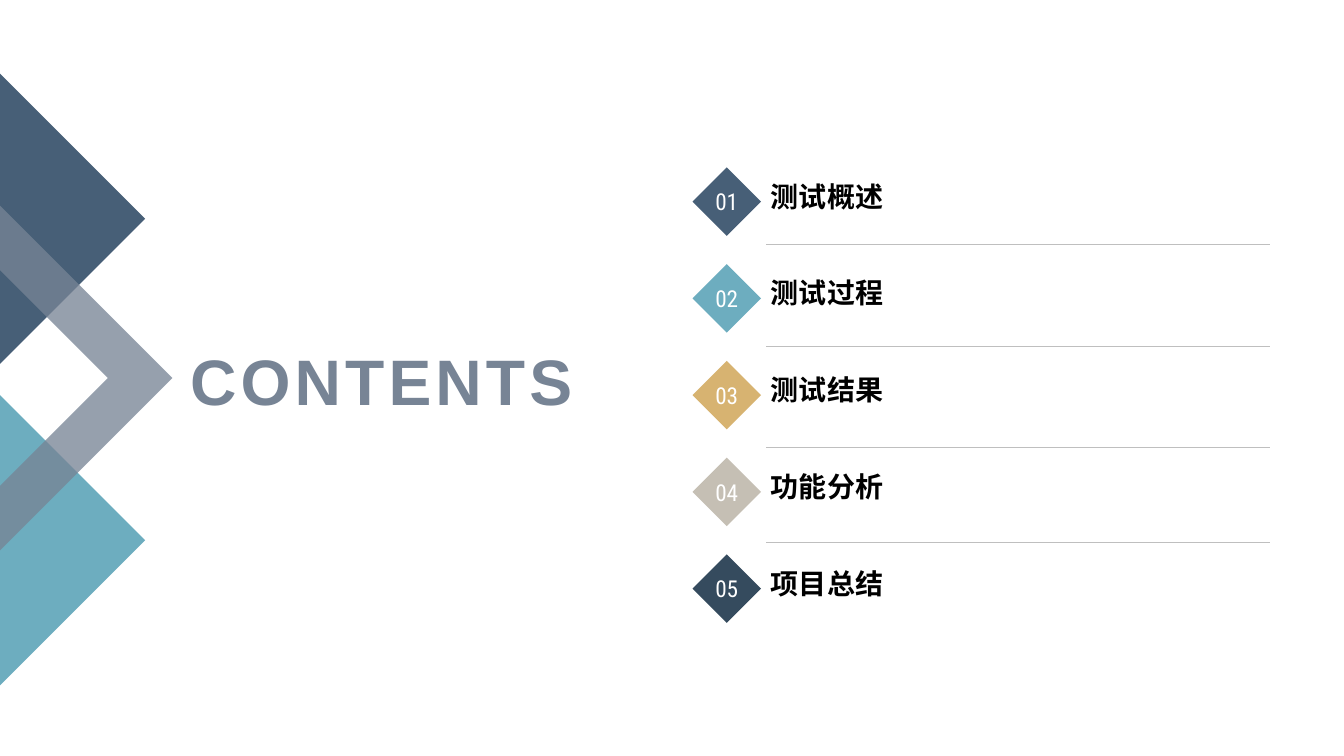
"""Build a contents slide with chevron artwork and five numbered entries."""
from dataclasses import dataclass
from typing import Any

from lxml import etree
from pptx import Presentation
from pptx import util as u
from pptx.dml.color import RGBColor
from pptx.enum import shapes, text
from pptx.oxml.ns import qn

CELL = u.Inches(0.1)
COLUMNS, ROWS = 133.33, 75


@dataclass(frozen=True)
class Theme:
    navy: str = "475F77"
    teal: str = "6DADBF"
    gold: str = "D7B371"
    stone: str = "C5BFB4"
    ink: str = "354B5E"
    slate: str = "778495"
    white: str = "FFFFFF"
    black: str = "000000"
    rule: str = "BFBFBF"
    heading_font: str = "Arial"
    number_font: str = "Roboto Condensed"
    title_size: float = 45.9
    entry_size: float = 20
    number_size: float = 16.6
    rule_width: float = 0.25


THEME = Theme()


@dataclass(frozen=True)
class Box:
    column: float
    row: float
    columns: float
    rows: float


@dataclass(frozen=True)
class Outline:
    points: tuple[tuple[float, float], ...]
    color: str
    opacity: int = 100


@dataclass(frozen=True)
class Entry:
    label: str
    color: str
    rule_row: float | None = None


OUTLINES = (
    Outline(((0, 68), (0, 39.2), (14.4, 53.6)), THEME.teal),
    Outline(((0, 7.3), (14.4, 21.7), (0, 36.1)), THEME.navy),
    Outline(((17.1, 37.5), (0, 54.6), (0, 48.2), (10.7, 37.5), (0, 26.8), (0, 20.4)),
            THEME.slate, 77),
)
ENTRIES = (
    Entry("测试概述", THEME.navy, 24.2),
    Entry("测试过程", THEME.teal, 34.3),
    Entry("测试结果", THEME.gold, 44.4),
    Entry("功能分析", THEME.stone, 53.8),
    Entry("项目总结", THEME.ink),
)
TITLE = Box(16.9, 32.6, 40.9, 10.1)
FIRST_DIAMOND = Box(68.7, 16.6, 6.8, 6.8)
FIRST_LABEL = Box(75.5, 18.3, 43.3, 3.3)
ENTRY_PITCH = 9.6
RULE_START, RULE_END = 76, 126


def cells(count: float) -> int:
    """Convert a count of grid cells to a length."""
    return round(count * CELL)


def apply(target: Any, values: dict[str, Any]) -> None:
    """Set each named attribute on the target."""
    for name, value in values.items():
        setattr(target, name, value)


def geometry(box: Box, offset: float = 0) -> dict[str, int]:
    """Give the placement of a box moved down by some rows."""
    return {"left": cells(box.column), "top": cells(box.row + offset),
            "width": cells(box.columns), "height": cells(box.rows)}


def paint(shape: Any, color: str) -> None:
    """Fill a shape plainly, without outline or shadow."""
    shape.shadow.inherit = False
    shape.fill.solid()
    shape.fill.fore_color.rgb = RGBColor.from_string(color)
    shape.line.fill.background()


def write(shape: Any, words: str, frame: dict[str, Any], align: Any,
          font: dict[str, Any], color: str) -> Any:
    """Write one formatted run in a shape and return it."""
    apply(shape.text_frame, {"auto_size": text.MSO_AUTO_SIZE.NONE, **frame})
    paragraph = shape.text_frame.paragraphs[0]
    paragraph.alignment = align
    run = paragraph.add_run()
    run.text = words
    apply(run.font, font)
    run.font.color.rgb = RGBColor.from_string(color)
    return run


def draw_outline(slide: Any, outline: Outline) -> None:
    """Draw a filled polygon with its opacity."""
    points = [(cells(x), cells(y)) for x, y in outline.points]
    builder = slide.shapes.build_freeform(*points[0])
    builder.add_line_segments(points[1:], close=True)
    shape = builder.convert_to_shape()
    paint(shape, outline.color)
    if outline.opacity < 100:
        color = shape._element.spPr.xpath("./a:solidFill/a:srgbClr")[0]
        etree.SubElement(color, qn("a:alpha")).set("val", str(outline.opacity * 1000))


def draw_title(slide: Any) -> None:
    """Place and format the title placeholder."""
    title = slide.shapes.title
    apply(title, geometry(TITLE))
    run = write(title, "CONTENTS",
                {"word_wrap": True, "vertical_anchor": text.MSO_ANCHOR.MIDDLE},
                text.PP_ALIGN.RIGHT,
                {"name": THEME.heading_font, "size": u.Pt(THEME.title_size), "bold": True},
                THEME.slate)
    run._r.get_or_add_rPr().set("spc", "300")


def draw_rule(slide: Any, row: float) -> None:
    """Draw a thin horizontal rule."""
    rule = slide.shapes.add_connector(shapes.MSO_CONNECTOR.STRAIGHT, cells(RULE_START),
                                      cells(row), cells(RULE_END), cells(row))
    rule.line.width = u.Pt(THEME.rule_width)
    rule.line.color.rgb = RGBColor.from_string(THEME.rule)
    etree.SubElement(rule._element.spPr, qn("a:effectLst"))


def draw_entry(slide: Any, index: int, entry: Entry) -> None:
    """Draw a numbered diamond, its label and the rule below."""
    offset = index * ENTRY_PITCH
    diamond = slide.shapes.add_shape(shapes.MSO_SHAPE.DIAMOND,
                                     **geometry(FIRST_DIAMOND, offset))
    paint(diamond, entry.color)
    write(diamond, f"{index + 1:02}",
          {"word_wrap": False, "vertical_anchor": text.MSO_ANCHOR.MIDDLE},
          text.PP_ALIGN.CENTER,
          {"name": THEME.number_font, "size": u.Pt(THEME.number_size)}, THEME.white)
    label = slide.shapes.add_textbox(**geometry(FIRST_LABEL, offset))
    write(label, entry.label,
          {"word_wrap": True, "vertical_anchor": text.MSO_ANCHOR.BOTTOM},
          text.PP_ALIGN.LEFT,
          {"name": THEME.heading_font, "size": u.Pt(THEME.entry_size), "bold": True},
          THEME.black)
    if entry.rule_row is not None:
        draw_rule(slide, entry.rule_row)


def main() -> None:
    """Build and save the presentation."""
    presentation = Presentation()
    apply(presentation, {"slide_width": cells(COLUMNS), "slide_height": cells(ROWS)})
    slide = presentation.slides.add_slide(presentation.slide_layouts[5])
    for outline in OUTLINES:
        draw_outline(slide, outline)
    draw_title(slide)
    for index, entry in enumerate(ENTRIES):
        draw_entry(slide, index, entry)
    presentation.save("out.pptx")


if __name__ == "__main__":
    main()
